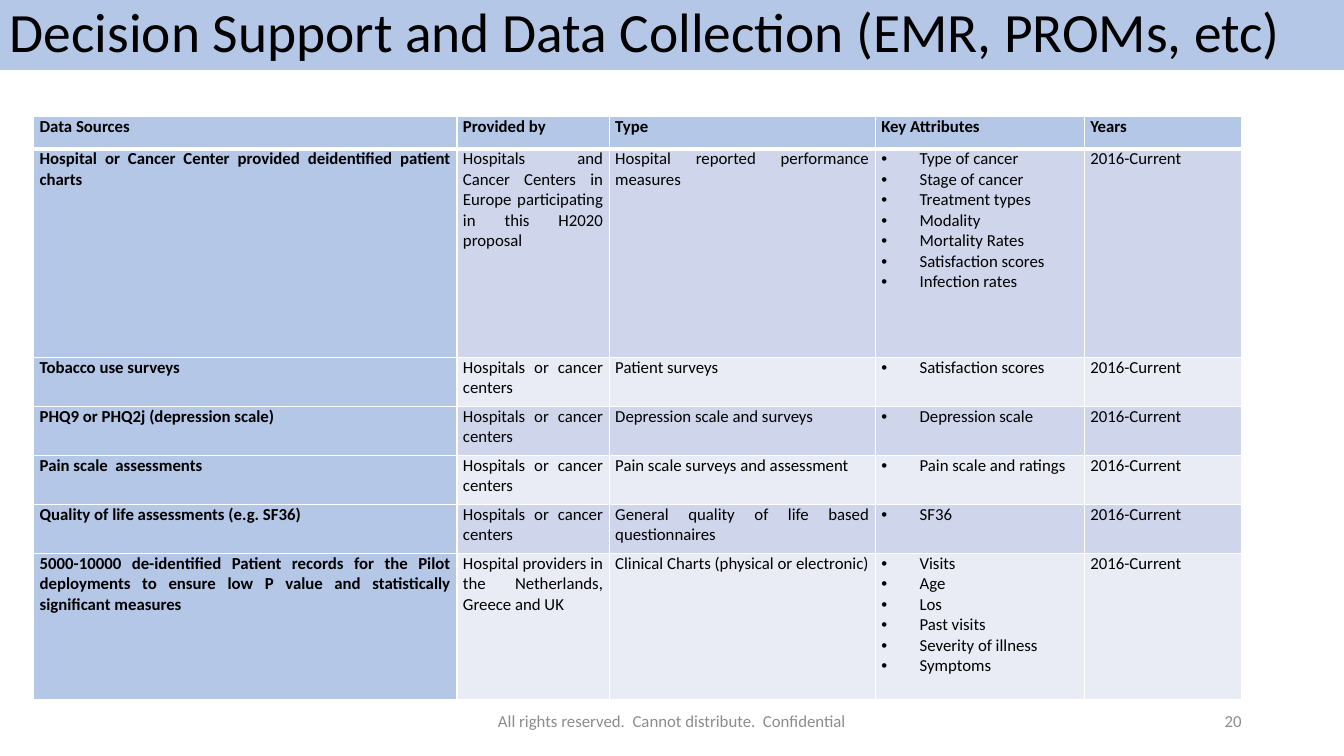
"""Build the slide listing data sources for decision support and data collection."""
from dataclasses import dataclass

from lxml import etree
from pptx import Presentation
from pptx.dml.color import RGBColor
from pptx.enum.shapes import MSO_SHAPE
from pptx.enum.text import MSO_ANCHOR, PP_ALIGN
from pptx.oxml.ns import qn
from pptx.util import Emu, Inches, Pt

RECTANGLE = MSO_SHAPE.RECTANGLE
MIDDLE = MSO_ANCHOR.MIDDLE
LEFT, CENTER, RIGHT, JUSTIFY = PP_ALIGN.LEFT, PP_ALIGN.CENTER, PP_ALIGN.RIGHT, PP_ALIGN.JUSTIFY
SLIDE_WIDTH, SLIDE_HEIGHT = Inches(13.333), Inches(7.5)


@dataclass(frozen=True)
class Theme:
    font: str = "Calibri"
    title_size: float = 39.6
    body_size: float = 12
    ink: str = "000000"
    muted: str = "8C8C8C"
    accent: str = "B4C7E7"
    bands: tuple[str, str] = ("CFD5EA", "E9EBF5")
    border: str = "FFFFFF"
    thin: float = 1
    thick: float = 3


@dataclass(frozen=True)
class Area:
    """Position and size in percent of the slide."""
    left: float
    top: float
    width: float
    height: float

    def lengths(self) -> tuple[Emu, Emu, Emu, Emu]:
        return across(self.left), down(self.top), across(self.width), down(self.height)


@dataclass(frozen=True)
class Label:
    text: str
    area: Area
    size: float
    color: str
    align: PP_ALIGN
    fill: str | None = None
    line_spacing: float = 1


@dataclass(frozen=True)
class DataSource:
    name: str
    provider: str
    kind: str
    attributes: tuple[str, ...]
    height: float
    years: str = "2016-Current"


THEME = Theme()
LABELS = (
    Label("Decision Support and Data Collection (EMR, PROMs, etc)", Area(0, 0, 100, 9.25),
          THEME.title_size, THEME.ink, LEFT, THEME.accent, 0.9),
    Label("All rights reserved.  Cannot distribute.  Confidential", Area(33.13, 92.69, 33.75, 5.33),
          THEME.body_size, THEME.muted, CENTER),
    Label("20", Area(70.63, 92.69, 22.5, 5.33), THEME.body_size, THEME.muted, RIGHT),
)
HEADINGS = ("Data Sources", "Provided by", "Type", "Key Attributes", "Years")
COLUMN_WIDTHS = (31.5, 11.33, 19.8, 15.55, 11.7)
TABLE_LEFT, TABLE_TOP = 2.5, 15.45
HEADER_HEIGHT, SURVEY_HEIGHT = 4.25, 6.48
SURVEY_PROVIDER = "Hospitals or cancer centers"
SOURCES = (
    DataSource("Hospital or Cancer Center provided deidentified patient charts",
               "Hospitals and Cancer Centers in Europe participating in this H2020 proposal",
               "Hospital reported performance measures",
               ("Type of cancer", "Stage of cancer", "Treatment types", "Modality",
                "Mortality Rates", "Satisfaction scores", "Infection rates"), 27.6),
    DataSource("Tobacco use surveys", SURVEY_PROVIDER, "Patient surveys",
               ("Satisfaction scores",), SURVEY_HEIGHT),
    DataSource("PHQ9 or PHQ2j (depression scale)", SURVEY_PROVIDER, "Depression scale and surveys",
               ("Depression scale",), SURVEY_HEIGHT),
    DataSource("Pain scale  assessments", SURVEY_PROVIDER, "Pain scale surveys and assessment",
               ("Pain scale and ratings",), SURVEY_HEIGHT),
    DataSource("Quality of life assessments (e.g. SF36)", SURVEY_PROVIDER,
               "General quality of life based questionnaires", ("SF36",), SURVEY_HEIGHT),
    DataSource("5000-10000 de-identified Patient records for the Pilot deployments to ensure "
               "low P value and statistically significant measures",
               "Hospital providers in the Netherlands, Greece and UK",
               "Clinical Charts (physical or electronic)",
               ("Visits", "Age", "Los", "Past visits", "Severity of illness", "Symptoms"), 19.35),
)
CELL_INSET, BULLET_INDENT = Inches(0.06), Inches(0.38)


def across(percent: float) -> Emu:
    return Emu(round(SLIDE_WIDTH * percent / 100))


def down(percent: float) -> Emu:
    return Emu(round(SLIDE_HEIGHT * percent / 100))


def style_paragraph(paragraph, size: float, color: str, align: PP_ALIGN, bold: bool = False) -> None:
    paragraph.alignment = align
    font = paragraph.font
    font.name, font.size, font.bold = THEME.font, Pt(size), bold
    font.color.rgb = RGBColor.from_string(color)


def add_bullet(paragraph) -> None:
    properties = paragraph._p.get_or_add_pPr()
    properties.set("marL", str(BULLET_INDENT))
    properties.set("indent", str(-BULLET_INDENT))
    etree.SubElement(properties, qn("a:buFont"), typeface="Arial")
    etree.SubElement(properties, qn("a:buChar"), char="•")


def add_label(slide, label: Label) -> None:
    if label.fill:
        shape = slide.shapes.add_shape(RECTANGLE, *label.area.lengths())
        shape.shadow.inherit = False
        shape.fill.solid()
        shape.fill.fore_color.rgb = RGBColor.from_string(label.fill)
        shape.line.fill.background()
    else:
        shape = slide.shapes.add_textbox(*label.area.lengths())
    frame = shape.text_frame
    frame.word_wrap = True
    frame.vertical_anchor = MIDDLE
    paragraph = frame.paragraphs[0]
    paragraph.text = label.text
    paragraph.line_spacing = label.line_spacing
    style_paragraph(paragraph, label.size, label.color, label.align)


def add_borders(cell, top: float, bottom: float) -> None:
    properties = cell._tc.get_or_add_tcPr()
    widths = {"a:lnL": THEME.thin, "a:lnR": THEME.thin, "a:lnT": top, "a:lnB": bottom}
    for tag, width in widths.items():
        line = etree.SubElement(properties, qn(tag), w=str(Pt(width)))
        fill = etree.SubElement(line, qn("a:solidFill"))
        etree.SubElement(fill, qn("a:srgbClr"), val=THEME.border)


def fill_cell(cell, lines: tuple[str, ...], fill: str, bold: bool, bulleted: bool) -> None:
    cell.margin_left = cell.margin_right = CELL_INSET
    cell.margin_top = cell.margin_bottom = 0
    cell.fill.solid()
    cell.fill.fore_color.rgb = RGBColor.from_string(fill)
    frame = cell.text_frame
    frame.text = "\n".join(lines)
    for paragraph in frame.paragraphs:
        if bulleted:
            add_bullet(paragraph)
        style_paragraph(paragraph, THEME.body_size, THEME.ink, JUSTIFY, bold)


def add_source_table(slide) -> None:
    heights = (HEADER_HEIGHT, *(source.height for source in SOURCES))
    area = Area(TABLE_LEFT, TABLE_TOP, sum(COLUMN_WIDTHS), sum(heights))
    table = slide.shapes.add_table(len(heights), len(COLUMN_WIDTHS), *area.lengths()).table
    table.first_row = table.horz_banding = False
    for column, width in zip(table.columns, COLUMN_WIDTHS):
        column.width = across(width)
    for row, height in zip(table.rows, heights):
        row.height = down(height)
    rows = [tuple((heading,) for heading in HEADINGS)]
    rows += [((source.name,), (source.provider,), (source.kind,), source.attributes, (source.years,))
             for source in SOURCES]
    attributes_column = HEADINGS.index("Key Attributes")
    for row_index, contents in enumerate(rows):
        is_header = row_index == 0
        for column_index, lines in enumerate(contents):
            cell = table.cell(row_index, column_index)
            emphasized = is_header or column_index == 0
            add_borders(cell, THEME.thick if row_index == 1 else THEME.thin,
                        THEME.thick if is_header else THEME.thin)
            fill = THEME.accent if emphasized else THEME.bands[(row_index - 1) % 2]
            fill_cell(cell, lines, fill, emphasized,
                      column_index == attributes_column and not is_header)


def main() -> None:
    presentation = Presentation()
    presentation.slide_width, presentation.slide_height = SLIDE_WIDTH, SLIDE_HEIGHT
    slide = presentation.slides.add_slide(presentation.slide_layouts[6])
    for label in LABELS:
        add_label(slide, label)
    add_source_table(slide)
    presentation.save("out.pptx")


if __name__ == "__main__":
    main()
